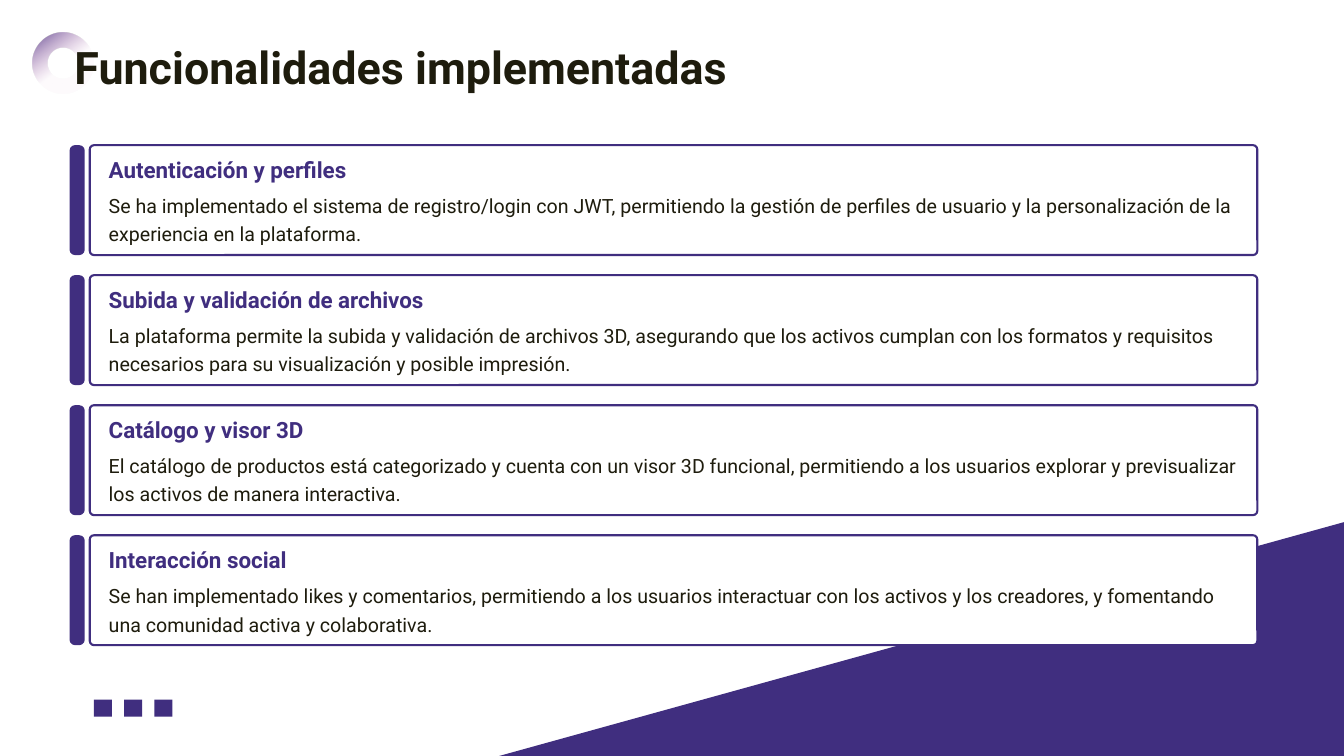
from lxml import etree
from pptx import Presentation
from pptx.dml.color import RGBColor
from pptx.enum.shapes import MSO_SHAPE as Preset
from pptx.enum.text import MSO_AUTO_SIZE as AutoSize
from pptx.oxml.ns import qn
from pptx.util import Inches, Pt

COLORS = {"purple": "402E7F", "mauve": "BC7DB7", "ink": "1E1C0D", "white": "FFFFFF"}
FONT = "Roboto"
FEATURES = [
    ("Autenticación y perfiles",
     "Se ha implementado el sistema de registro/login con JWT, permitiendo la gestión de "
     "perfiles de usuario y la personalización de la experiencia en la plataforma."),
    ("Subida y validación de archivos",
     "La plataforma permite la subida y validación de archivos 3D, asegurando que los activos "
     "cumplan con los formatos y requisitos necesarios para su visualización y posible impresión."),
    ("Catálogo y visor 3D",
     "El catálogo de productos está categorizado y cuenta con un visor 3D funcional, permitiendo "
     "a los usuarios explorar y previsualizar los activos de manera interactiva."),
    ("Interacción social",
     "Se han implementado likes y comentarios, permitiendo a los usuarios interactuar con los "
     "activos y los creadores, y fomentando una comunidad activa y colaborativa."),
]


def rgb(name):
    return RGBColor.from_string(COLORS[name])


def add_block(slide, preset, left, top, width, height, fill="purple", line=None, corner=None):
    shape = slide.shapes.add_shape(
        preset, Inches(left), Inches(top), Inches(width), Inches(height))
    shape.shadow.inherit = False
    shape.fill.solid()
    shape.fill.fore_color.rgb = rgb(fill)
    if line:
        shape.line.color.rgb = rgb(line)
        shape.line.width = Pt(1.5)
    else:
        shape.line.fill.background()
    if corner is not None:
        shape.adjustments[0] = corner
    return shape


def add_text(slide, text, left, top, width, height, size=14, color="ink", bold=False, spacing=None):
    box = slide.shapes.add_textbox(Inches(left), Inches(top), Inches(width), Inches(height))
    frame = box.text_frame
    frame.word_wrap = True
    frame.auto_size = AutoSize.SHAPE_TO_FIT_TEXT
    paragraph = frame.paragraphs[0]
    if spacing:
        paragraph.line_spacing = spacing
    run = paragraph.add_run()
    run.text = text
    run.font.name = FONT
    run.font.size = Pt(size)
    run.font.bold = bold
    run.font.color.rgb = rgb(color)


def fade_fill(shape, stops, angle):
    """Gradient fill from (position %, color, opacity %) stops."""
    properties = shape.fill._xPr
    gradient = etree.Element(qn("a:gradFill"), rotWithShape="1")
    stop_list = etree.SubElement(gradient, qn("a:gsLst"))
    for position, color, opacity in stops:
        stop = etree.SubElement(stop_list, qn("a:gs"), pos=str(position * 1000))
        value = etree.SubElement(stop, qn("a:srgbClr"), val=COLORS[color])
        etree.SubElement(value, qn("a:alpha"), val=str(opacity * 1000))
    etree.SubElement(gradient, qn("a:lin"), ang=str(angle * 60000), scaled="0")
    properties.replace(properties.find(qn("a:solidFill")), gradient)


def add_decoration(slide, width, height):
    # Faded ring behind the title
    ring = add_block(slide, Preset.DONUT, 0.32, 0.32, 0.61, 0.61)
    ring.rotation = 99
    fade_fill(ring, [(0, "purple", 100), (54, "mauve", 3), (100, "mauve", 3)], 315)
    # Three small squares
    for index in range(3):
        add_block(slide, Preset.RECTANGLE, 0.93 + 0.3 * index, height - 0.56, 0.18, 0.17)
    # Corner triangle
    triangle = add_block(slide, Preset.RIGHT_TRIANGLE, width - 8.38, height - 2.32, 8.38, 2.32)
    triangle._element.spPr.find(qn("a:xfrm")).set("flipH", "1")


def add_card(slide, heading, body, left, top, width, height):
    # Side bar and outlined panel
    add_block(slide, Preset.ROUNDED_RECTANGLE, left, top, 0.15, height, corner=0.348)
    add_block(slide, Preset.ROUNDED_RECTANGLE, left + 0.2, top, width - 0.2, height,
              fill="white", line="purple", corner=0.038)
    # Heading and description
    text_left, text_width = left + 0.29, width - 0.38
    add_text(slide, heading, text_left, top + 0.06, text_width, 0.27,
             size=16, color="purple", bold=True)
    add_text(slide, body, text_left, top + 0.39, text_width, 0.61, spacing=1.2)


def main():
    presentation = Presentation()
    width, height = 13.33, 7.5
    presentation.slide_width, presentation.slide_height = Inches(width), Inches(height)
    slide = presentation.slides.add_slide(presentation.slide_layouts[6])
    slide.background.fill.solid()
    slide.background.fill.fore_color.rgb = rgb("white")

    add_decoration(slide, width, height)
    add_text(slide, "Funcionalidades implementadas", 0.64, 0.34, 9.5, 0.54, size=32, bold=True)
    for index, (heading, body) in enumerate(FEATURES):
        add_card(slide, heading, body, 0.69, 1.44 + 1.29 * index, 11.78, 1.09)
    presentation.save("out.pptx")


if __name__ == "__main__":
    main()
